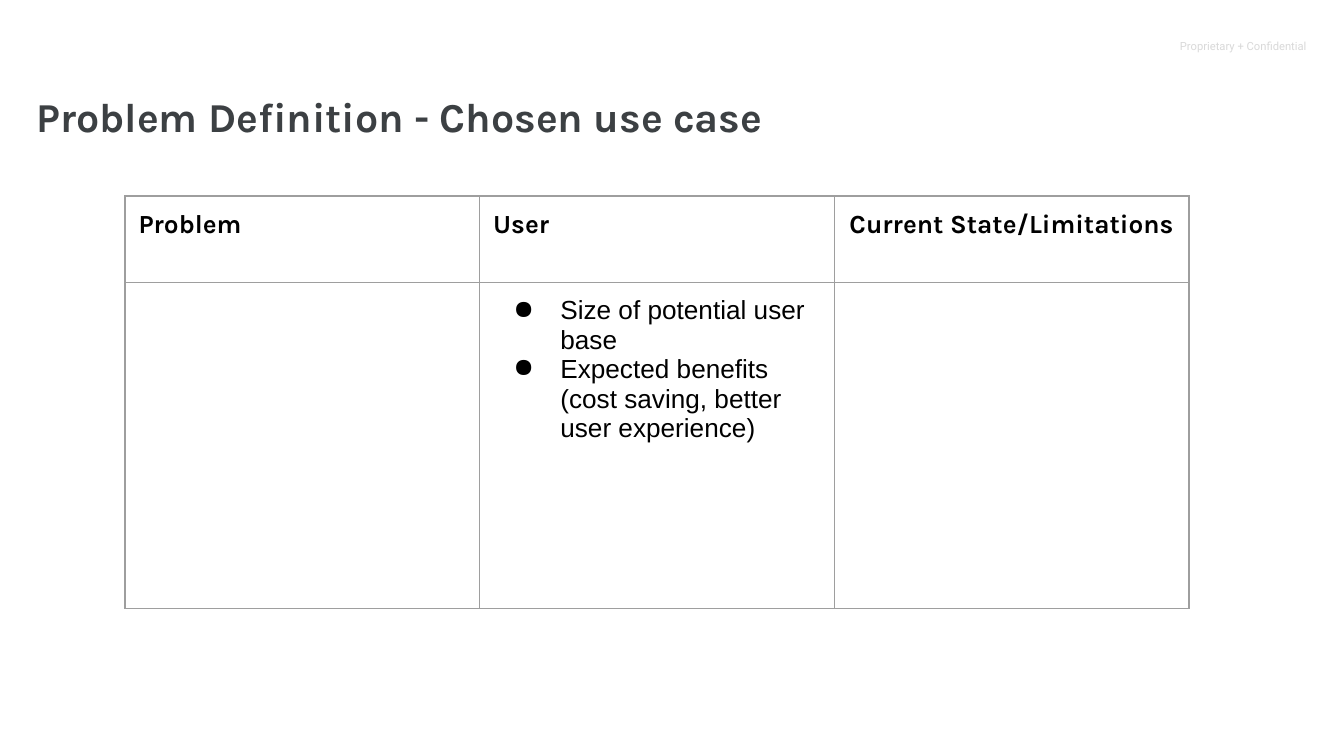
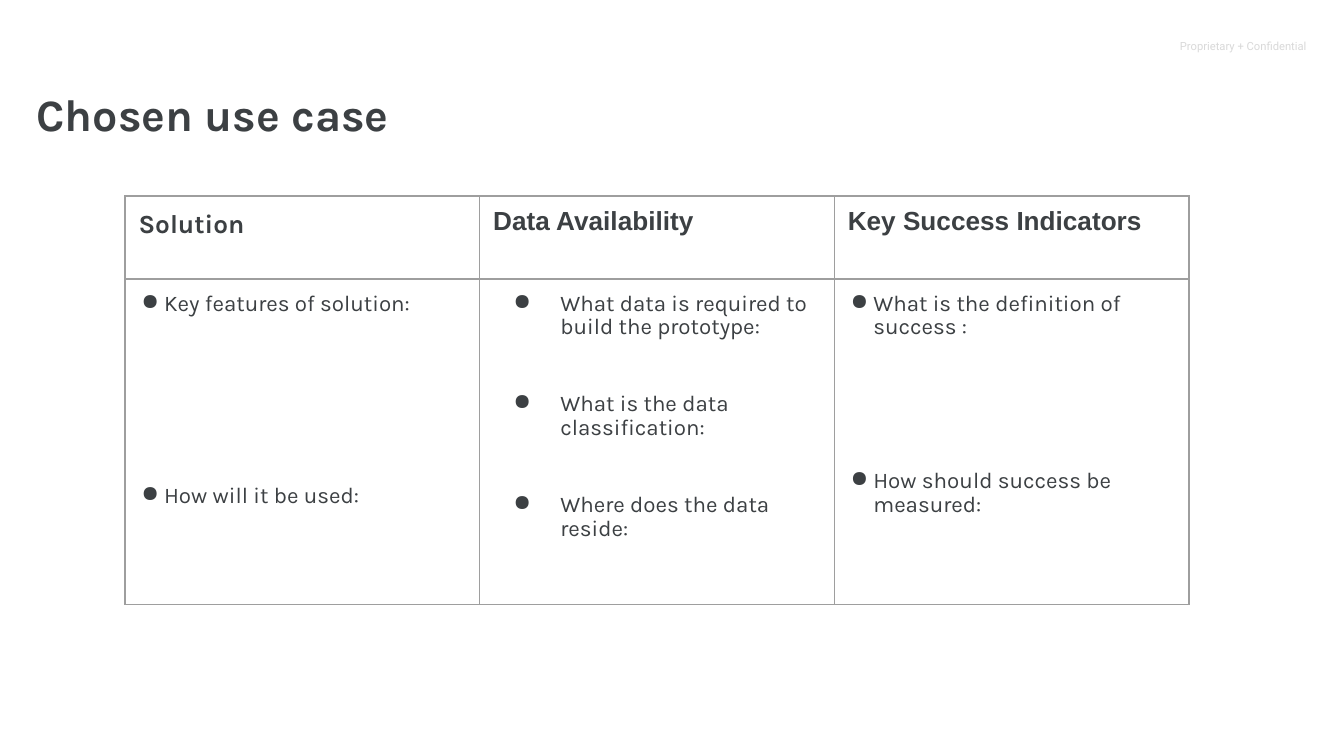
from dataclasses import dataclass
from typing import Optional

from lxml import etree
from pptx import Presentation
from pptx import util as u
from pptx.dml.color import RGBColor
from pptx.enum import text
from pptx.oxml import ns

CHARCOAL = RGBColor(0x3C, 0x40, 0x43)
BLACK = RGBColor(0x00, 0x00, 0x00)
BORDER_GREY = RGBColor(0x9E, 0x9E, 0x9E)
NOTICE_GREY = RGBColor(0xD9, 0xD9, 0xD9)

HEADING_FONT = "Karla"
PLAIN_FONT = "Arial"
NOTICE_FONT = "Roboto"

COLUMN_WIDTH = u.Pt(190)
TABLE_LEFT, TABLE_TOP = u.Pt(67), u.Pt(105)
DETAIL_HEIGHT = u.Pt(174.5)
CELL_INSET = u.Pt(7.2)
PARAGRAPH_GAP = 8
ANSWER_LINE = 20.6
TIGHT = 0.9


@dataclass(frozen=True)
class Indent:
    left: float
    hanging: float


WIDE = Indent(36, 25.2)
NARROW = Indent(13.7, 12.2)


@dataclass(frozen=True)
class Style:
    font: str
    size: float
    color: RGBColor
    bold: bool = False
    spacing: Optional[float] = None
    align: text.PP_ALIGN = text.PP_ALIGN.LEFT


@dataclass(frozen=True)
class Topic:
    heading: str
    heading_style: Style
    points: tuple[str, ...] = ()
    indent: Indent = WIDE
    answer_lines: Optional[int] = None


@dataclass(frozen=True)
class UseCase:
    title: str
    title_size: float
    heading_height: float
    point_style: Style
    topics: tuple[Topic, ...]


PROBLEM_HEADING = Style(HEADING_FONT, 14, BLACK, True)
LIMITS_HEADING = Style(HEADING_FONT, 14, BLACK, True, align=text.PP_ALIGN.CENTER)
SOLUTION_HEADING = Style(HEADING_FONT, 14, CHARCOAL, True)
PLAIN_HEADING = Style(PLAIN_FONT, 14, CHARCOAL, True, TIGHT)

USE_CASES = (
    UseCase(
        "Problem Definition - Chosen use case", 22, 46.5,
        Style(PLAIN_FONT, 14, BLACK),
        (
            Topic("Problem", PROBLEM_HEADING),
            Topic("User", PROBLEM_HEADING, (
                "Size of potential user base",
                "Expected benefits (cost saving, better user experience)",
            )),
            Topic("Current State/Limitations", LIMITS_HEADING),
        ),
    ),
    UseCase(
        "Chosen use case", 24, 44.5,
        Style(HEADING_FONT, 12, CHARCOAL, spacing=TIGHT),
        (
            Topic("Solution", SOLUTION_HEADING, (
                "Key features of solution:",
                "How will it be used:",
            ), NARROW, 4),
            Topic("Data Availability", PLAIN_HEADING, (
                "What data is required to build the prototype:",
                "What is the data classification:",
                "Where does the data reside:",
            ), WIDE, 1),
            Topic("Key Success Indicators", PLAIN_HEADING, (
                "What is the definition of success :",
                "How should success be measured:",
            ), NARROW, 3),
        ),
    ),
)


def add_color(parent, tag: str, color: RGBColor) -> None:
    holder = etree.SubElement(parent, ns.qn(tag))
    etree.SubElement(holder, ns.qn("a:srgbClr"), val=str(color))


def add_bullet(paragraph, indent: Indent, color: RGBColor) -> None:
    properties = paragraph._p.get_or_add_pPr()
    properties.set("marL", str(u.Pt(indent.left)))
    properties.set("indent", str(-u.Pt(indent.hanging)))
    add_color(properties, "a:buClr", color)
    etree.SubElement(properties, ns.qn("a:buChar"), char="●")


def write(paragraph, words: str, style: Style, indent: Optional[Indent] = None,
          space_before: float = 0) -> None:
    paragraph.text = words
    paragraph.alignment = style.align
    if style.spacing:
        paragraph.line_spacing = style.spacing
    if space_before:
        paragraph.space_before = u.Pt(space_before)
    if indent:
        add_bullet(paragraph, indent, style.color)
    paragraph.font.name = style.font
    paragraph.font.size = u.Pt(style.size)
    paragraph.font.bold = style.bold
    paragraph.font.color.rgb = style.color


def set_insets(target, horizontal: u.Length, vertical: u.Length) -> None:
    target.margin_left = target.margin_right = horizontal
    target.margin_top = target.margin_bottom = vertical


def prepare_layout(layout) -> None:
    title = next(iter(layout.placeholders))
    title.left, title.top = u.Pt(13.7), u.Pt(7.9)
    title.width, title.height = u.Pt(531.4), u.Pt(70.6)
    frame = title.text_frame
    set_insets(frame, u.Pt(5.8), u.Pt(2.9))
    frame.vertical_anchor = text.MSO_ANCHOR.BOTTOM
    frame.auto_size = text.MSO_AUTO_SIZE.NONE


def move_notice_to_layout(slide) -> None:
    notice = slide.shapes.add_textbox(u.Pt(625), u.Pt(17.3), u.Pt(95), u.Pt(23.8))
    frame = notice.text_frame
    frame.word_wrap = True
    set_insets(frame, CELL_INSET, CELL_INSET)
    write(frame.paragraphs[0], "Proprietary + Confidential",
          Style(NOTICE_FONT, 6, NOTICE_GREY))
    slide.slide_layout.shapes.element.append(notice.element)


def format_cell(cell) -> None:
    set_insets(cell, CELL_INSET, CELL_INSET)
    properties = cell._tc.get_or_add_tcPr()
    for side in ("a:lnL", "a:lnR", "a:lnT", "a:lnB"):
        border = etree.SubElement(properties, ns.qn(side), w=str(u.Pt(0.75)))
        add_color(border, "a:solidFill", BORDER_GREY)
    cell.fill.background()


def write_points(cell, topic: Topic, style: Style) -> None:
    frame = cell.text_frame
    gap = 0.0
    if topic.answer_lines is not None:
        gap = PARAGRAPH_GAP + topic.answer_lines * ANSWER_LINE
    for index, point in enumerate(topic.points):
        paragraph = frame.add_paragraph() if index else frame.paragraphs[0]
        write(paragraph, point, style, topic.indent, gap if index else 0)


def add_topics(slide, use_case: UseCase) -> None:
    columns = len(use_case.topics)
    heading_height = u.Pt(use_case.heading_height)
    table = slide.shapes.add_table(
        2, columns, TABLE_LEFT, TABLE_TOP,
        COLUMN_WIDTH * columns, heading_height + DETAIL_HEIGHT).table
    table.first_row = table.horz_banding = False
    table.rows[0].height = heading_height
    table.rows[1].height = DETAIL_HEIGHT
    for index, topic in enumerate(use_case.topics):
        table.columns[index].width = COLUMN_WIDTH
        heading, details = table.cell(0, index), table.cell(1, index)
        format_cell(heading)
        format_cell(details)
        write(heading.text_frame.paragraphs[0], topic.heading, topic.heading_style)
        write_points(details, topic, use_case.point_style)


def add_use_case(deck, layout, use_case: UseCase):
    slide = deck.slides.add_slide(layout)
    write(slide.shapes.title.text_frame.paragraphs[0], use_case.title,
          Style(HEADING_FONT, use_case.title_size, CHARCOAL, True, TIGHT))
    add_topics(slide, use_case)
    return slide


def main() -> None:
    deck = Presentation()
    deck.slide_width, deck.slide_height = u.Pt(720), u.Pt(405)
    layout = deck.slide_layouts.get_by_name("Title Only")
    prepare_layout(layout)
    slides = [add_use_case(deck, layout, use_case) for use_case in USE_CASES]
    move_notice_to_layout(slides[0])
    deck.save("out.pptx")


if __name__ == "__main__":
    main()
